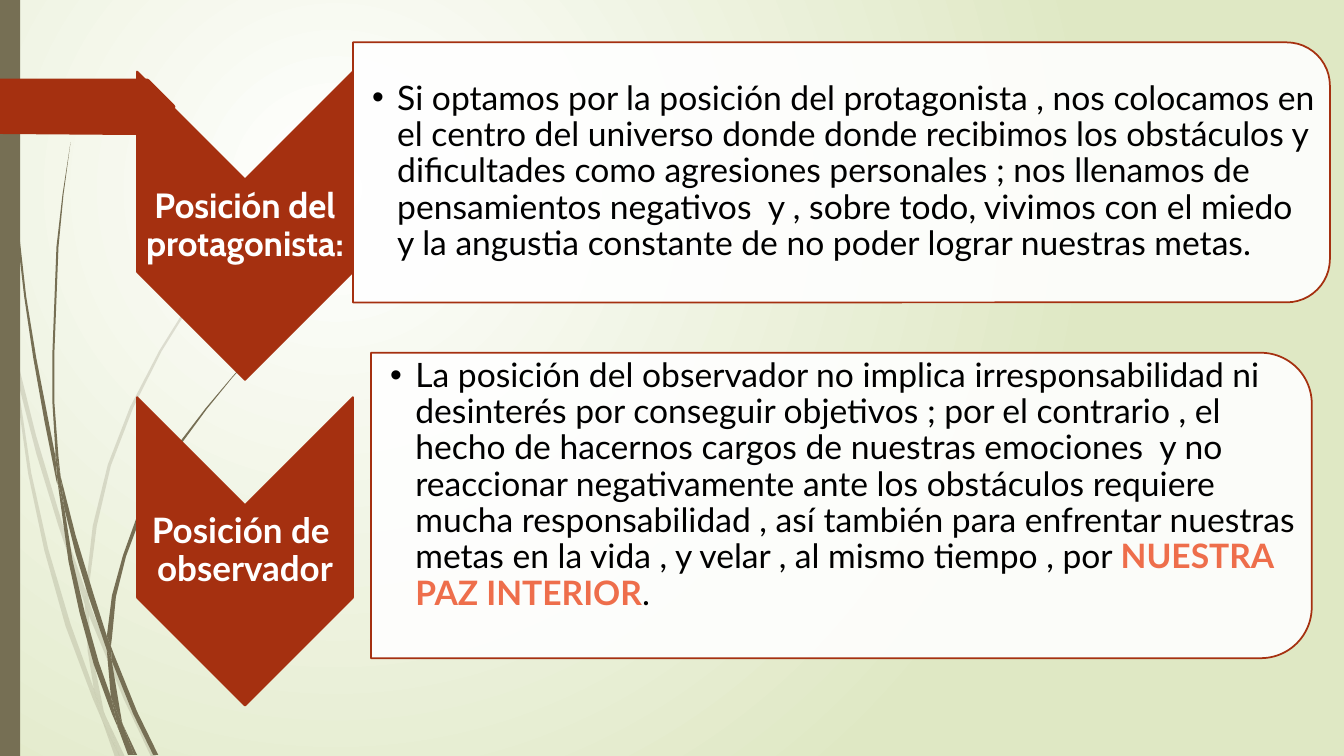
from pptx import Presentation
from pptx import util as u
from pptx.dml.color import RGBColor
from pptx.enum import shapes, text
from pptx.oxml import parse_xml
from pptx.oxml.ns import nsdecls, qn

# Content; all lengths are px, 100 to the inch
POSITIONS = [
    {
        "label": "Posición del protagonista:", "label_font": "Cabin",
        "chevron": (136, 71, 214, 306), "label_box": (136, 178, 214, 92),
        "panel": (350, 42, 969, 258), "body_box": (350, 54, 956, 233),
        "body": [("Si optamos por la posición del protagonista , nos colocamos en el centro "
                  "del universo donde donde recibimos los obstáculos y dificultades como "
                  "agresiones personales ; nos llenamos de pensamientos negativos  y , sobre "
                  "todo, vivimos con el miedo y la angustia constante de no poder lograr "
                  "nuestras metas.", False)],
    },
    {
        "label": "Posición de  observador", "label_font": "Lato",
        "chevron": (136, 394, 214, 306), "label_box": (136, 501, 214, 92),
        "panel": (368, 350, 933, 303), "body_box": (368, 353, 918, 257),
        "body": [("La posición del observador no implica irresponsabilidad ni desinterés por "
                  "conseguir objetivos ; por el contrario , el hecho de hacernos cargos de "
                  "nuestras emociones  y no reaccionar negativamente ante los obstáculos "
                  "requiere mucha responsabilidad , así también para enfrentar nuestras metas "
                  "en la vida , y velar , al mismo tiempo , por ", False),
                 ("NUESTRA PAZ INTERIOR", True), (".", False)],
    },
]

# Grass: outlines of the blade pieces
PALE_GRASS = [
    [(11, 350), (9, 322), (0, 282), (0, 299), (10, 344)],
    [(58, 522), (84, 599), (85, 586), (62, 520), (36, 433), (14, 345), (17, 376), (36, 450)],
    [(92, 607), (88, 596), (88, 610), (123, 694), (150, 751), (155, 751), (127, 692)],
    [(119, 751), (124, 751), (105, 711)],
    [(93, 683), (70, 619), (48, 545), (31, 469), (17, 376), (11, 350), (28, 470), (44, 546),
     (65, 621), (92, 693), (101, 714), (99, 707)],
    [(84, 599), (87, 646), (93, 683), (96, 692), (105, 711), (103, 706), (91, 646), (88, 610),
     (88, 608)],
    [(88, 584), (96, 522), (110, 462), (132, 405), (160, 349), (193, 296), (229, 245), (268, 198),
     (290, 175), (312, 154), (312, 153), (289, 175), (268, 197), (228, 244), (191, 295),
     (158, 348), (129, 404), (107, 461), (92, 522), (85, 584), (85, 586), (88, 596)],
    [(101, 714), (114, 751), (119, 751)],
    [(88, 608), (88, 610), (88, 596), (85, 586), (84, 599)],
    [(96, 692), (93, 683), (99, 707), (101, 714), (119, 751), (105, 711)],
]
DARK_GRASS = [
    [(7, 110), (17, 233), (24, 294), (33, 355), (44, 417), (56, 477), (57, 481), (55, 453),
     (36, 355), (26, 294), (19, 232), (12, 171), (8, 109), (5, 48), (4, 0), (3, 0), (4, 48)],
    [(88, 592), (106, 645), (106, 631), (93, 590), (75, 531), (60, 472), (64, 505), (75, 549)],
    [(113, 649), (110, 641), (111, 656), (132, 708), (152, 749), (157, 749), (136, 706)],
    [(110, 691), (98, 657), (84, 607), (72, 556), (64, 505), (57, 477), (68, 557), (79, 608),
     (93, 659), (111, 708), (117, 722), (116, 717)],
    [(60, 472), (58, 453), (54, 400), (54, 349), (58, 245), (63, 193), (70, 141), (62, 193),
     (56, 245), (52, 349), (52, 400), (55, 449)],
    [(133, 749), (136, 749), (122, 719)],
    [(57, 477), (64, 505), (60, 472), (55, 449), (55, 453)],
    [(111, 633), (115, 592), (125, 552), (140, 512), (158, 476), (180, 440), (205, 406),
     (231, 374), (245, 359), (261, 344), (260, 344), (245, 358), (231, 373), (204, 405),
     (178, 439), (156, 474), (136, 512), (122, 551), (111, 591), (106, 631), (110, 641)],
    [(117, 722), (127, 749), (131, 749)],
    [(106, 645), (110, 691), (116, 706), (122, 719), (121, 716), (111, 656), (109, 651)],
    [(106, 645), (109, 651), (111, 656), (110, 641), (106, 631)],
    [(116, 706), (110, 691), (116, 717), (117, 722), (130, 749), (133, 749), (122, 719)],
]
RIBBON = [(0, 78), (146, 78), (148, 79), (173, 104), (174, 106), (173, 108), (148, 133),
          (146, 134), (136, 134), (0, 133)]
SIDE_BAR = (0, 0, 20, 750)

THEME = {
    "accent": "A53010", "grass": "766F54", "panel": "FFFFFF", "label": "FFFFFF",
    "body": "000000", "highlight": "EE6E4B", "back": ("FFFFFF", "DFE8C4"),
    "label_size": 25, "body_size": 24, "body_font": "Lato", "line": 1.25,
}
PX = 9144


def emu(values):
    return [round(value * PX) for value in values]


def rgb(name):
    return RGBColor.from_string(THEME[name])


def paint(shape, fill, line=None, alpha=None):
    shape.shadow.inherit = False
    shape.fill.solid()
    shape.fill.fore_color.rgb = rgb(fill)
    if alpha:
        colour = next(shape.element.spPr.iter(qn("a:srgbClr")))
        colour.append(parse_xml(f'<a:alpha {nsdecls("a")} val="{alpha * 1000}"/>'))
    if line:
        shape.line.color.rgb = rgb(line)
        shape.line.width = u.Pt(THEME["line"])
    else:
        shape.line.fill.background()


def add_outline(page, points, fill, alpha=None):
    start, *rest = [emu(point) for point in points]
    builder = page.shapes.build_freeform(*start, scale=1.0)
    builder.add_line_segments(rest, close=True)
    paint(builder.convert_to_shape(), fill, alpha=alpha)


def add_turned(page, kind, box, fill, alpha=None):
    """Place a shape turned by 90 degrees so that it covers the box."""
    left, top, width, height = box
    shift = (width - height) / 2
    frame = (left + shift, top - shift, height, width)
    shape = page.shapes.add_shape(kind, *emu(frame))
    shape.rotation = 90
    paint(shape, fill, "accent", alpha)


def add_text(page, box, spans, margin_left, align, space_after):
    frame = page.shapes.add_textbox(*emu(box)).text_frame
    margins = {"margin_left": margin_left * PX, "margin_right": 2 * PX,
               "margin_top": 2 * PX, "margin_bottom": 2 * PX}
    for name, value in {"word_wrap": True, "vertical_anchor": text.MSO_ANCHOR.MIDDLE,
                        **margins}.items():
        setattr(frame, name, value)
    para = frame.paragraphs[0]
    for name, value in {"alignment": align, "line_spacing": 0.9,
                        "space_after": u.Pt(space_after)}.items():
        setattr(para, name, value)
    for words, font, size, colour, bold in spans:
        span = para.add_run()
        span.text = words
        for name, value in {"name": font, "size": u.Pt(size), "bold": bold}.items():
            setattr(span.font, name, value)
        span.font.color.rgb = rgb(colour)
    return para


def add_bullet(para):
    props = para._p.get_or_add_pPr()
    props.set("marL", str(25 * PX))
    props.set("indent", str(-25 * PX))
    props.append(parse_xml(f'<a:buFont {nsdecls("a")} typeface="Arial"/>'))
    props.append(parse_xml(f'<a:buChar {nsdecls("a")} char="•"/>'))


def paint_background(page):
    fill = page.background.fill
    fill.gradient()
    for stop, colour in zip(fill.gradient_stops, THEME["back"]):
        stop.color.rgb = RGBColor.from_string(colour)
    linear = next(page.element.iter(qn("a:lin")))
    linear.getparent().replace(linear, parse_xml(
        f'<a:path {nsdecls("a")} path="circle">'
        '<a:fillToRect l="50000" t="50000" r="100000" b="100000"/></a:path>'))


def main():
    deck = Presentation()
    deck.slide_width, deck.slide_height = emu((1333, 750))
    page = deck.slides.add_slide(deck.slide_layouts[6])
    paint_background(page)

    # Grass, side bar and ribbon
    for pieces, alpha in ((PALE_GRASS, 20), (DARK_GRASS, None)):
        for piece in pieces:
            add_outline(page, piece, "grass", alpha)
    paint(page.shapes.add_shape(shapes.MSO_SHAPE.RECTANGLE, *emu(SIDE_BAR)), "grass")
    add_outline(page, RIBBON, "accent")

    # One chevron and one panel for each position
    for item in POSITIONS:
        add_turned(page, shapes.MSO_SHAPE.CHEVRON, item["chevron"], "accent")
        label = [(item["label"], item["label_font"], THEME["label_size"], "label", True)]
        add_text(page, item["label_box"], label, 2, text.PP_ALIGN.CENTER, 9)
        add_turned(page, shapes.MSO_SHAPE.ROUND_2_SAME_RECTANGLE, item["panel"], "panel", 90)
        body = [(words, THEME["body_font"], THEME["body_size"],
                 "highlight" if strong else "body", strong) for words, strong in item["body"]]
        add_bullet(add_text(page, item["body_box"], body, 19, text.PP_ALIGN.LEFT, 4))

    deck.save("out.pptx")


if __name__ == "__main__":
    main()
